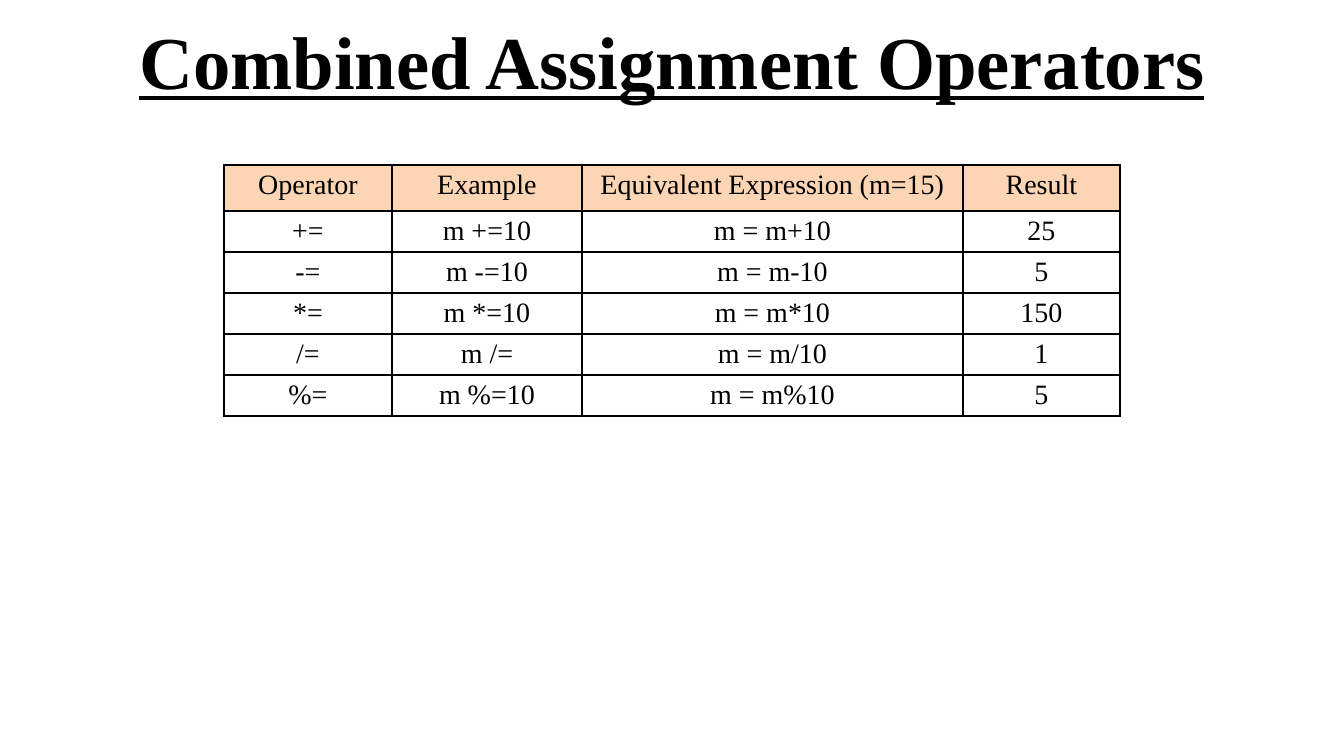
"""Build a slide with a table of combined assignment operators."""
from lxml.etree import SubElement
from pptx import Presentation
from pptx.dml.color import RGBColor
from pptx.enum.text import MSO_ANCHOR, MSO_AUTO_SIZE, PP_ALIGN
from pptx.oxml.ns import qn
from pptx.util import Pt

PX = 914400 / 134.4
FONT = "Times New Roman"
COLORS = {"text": "000000", "border": "000000", "header": "FCD5B5"}
ROWS = [
    ("Operator", "Example", "Equivalent Expression (m=15)", "Result"),
    ("+=", "m +=10", "m = m+10", "25"),
    ("-=", "m -=10", "m = m-10", "5"),
    ("*=", "m *=10", "m = m*10", "150"),
    ("/=", "m /=", "m = m/10", "1"),
    ("%=", "m %=10", "m = m%10", "5"),
]
COLUMN_WIDTHS = [168, 190, 381, 157]
ROW_HEIGHTS = [46] + [41] * (len(ROWS) - 1)


def px(*lengths):
    return [round(length * PX) for length in lengths]


def write(frame, text, size, strong=False):
    frame.text = text
    paragraph = frame.paragraphs[0]
    paragraph.alignment = PP_ALIGN.CENTER
    font = paragraph.runs[0].font
    font.name, font.size = FONT, Pt(size)
    font.bold = font.underline = strong
    font.color.rgb = RGBColor.from_string(COLORS["text"])


deck = Presentation()
deck.slide_width, deck.slide_height = px(1344, 756)
page = deck.slides.add_slide(deck.slide_layouts[5])

title = page.shapes.title
title.left, title.top, title.width, title.height = px(67, -3, 1210, 126)
write(title.text_frame, "Combined Assignment Operators", 40, strong=True)
title.text_frame.vertical_anchor = MSO_ANCHOR.MIDDLE
title.text_frame.auto_size = MSO_AUTO_SIZE.NONE

table = page.shapes.add_table(
    len(ROWS), len(COLUMN_WIDTHS),
    *px(224, 165, sum(COLUMN_WIDTHS), sum(ROW_HEIGHTS)),
).table
table.first_row = table.horz_banding = False
for column, width in zip(table.columns, px(*COLUMN_WIDTHS)):
    column.width = width
for row, height in zip(table.rows, px(*ROW_HEIGHTS)):
    row.height = height

for row_index, values in enumerate(ROWS):
    for column_index, value in enumerate(values):
        cell = table.cell(row_index, column_index)
        write(cell.text_frame, value, 15)
        cell.margin_left, cell.margin_right = px(13, 13)
        cell.margin_top, cell.margin_bottom = px(5, 5)
        properties = cell._tc.get_or_add_tcPr()
        for side in ("a:lnL", "a:lnR", "a:lnT", "a:lnB"):
            line = SubElement(properties, qn(side), w=str(Pt(1)))
            fill = SubElement(line, qn("a:solidFill"))
            SubElement(fill, qn("a:srgbClr"), val=COLORS["border"])
        if row_index == 0:
            cell.fill.solid()
            cell.fill.fore_color.rgb = RGBColor.from_string(COLORS["header"])
        else:
            cell.fill.background()

deck.save("out.pptx")
